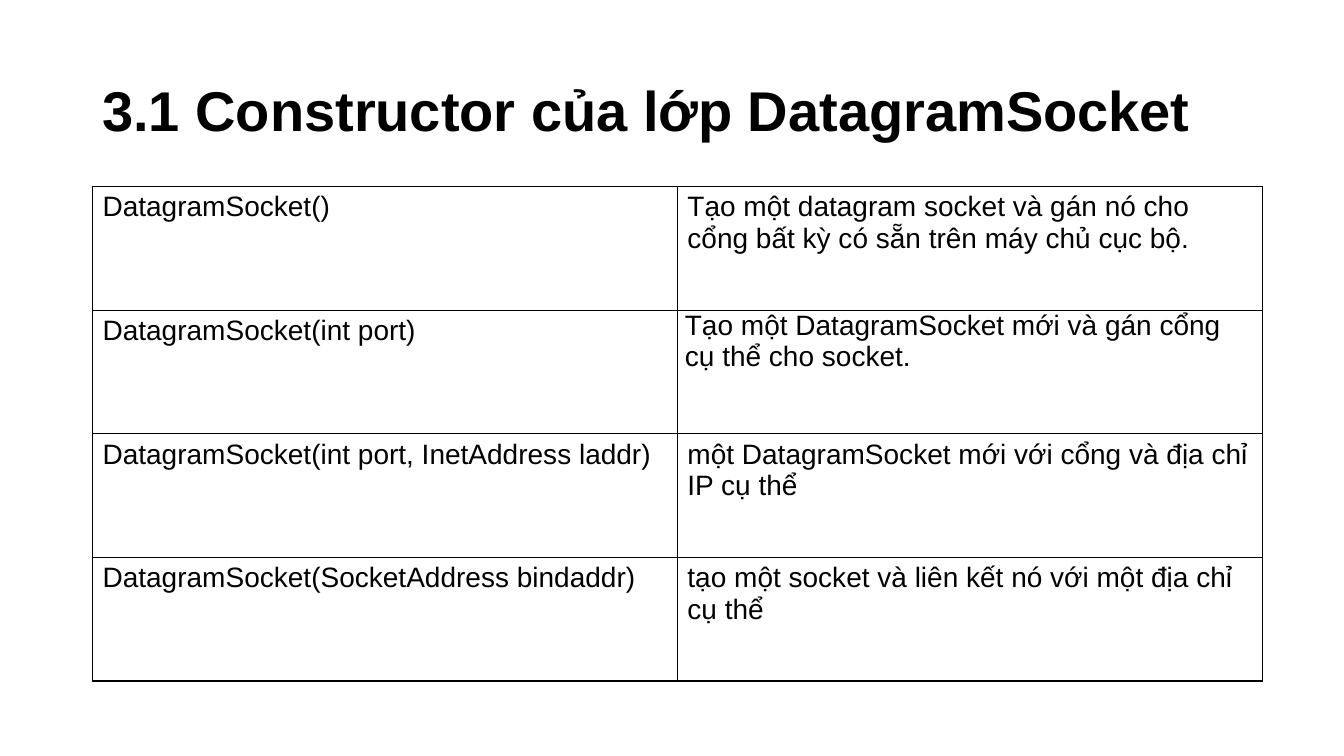
from pptx import Presentation
from pptx.dml.color import RGBColor
from pptx.enum.text import MSO_ANCHOR
from pptx.oxml import parse_xml
from pptx.oxml.ns import nsdecls
from pptx.util import Cm, Pt

BLACK = RGBColor(0x00, 0x00, 0x00)
FONT = "Arial"

CONSTRUCTORS = [
    ("DatagramSocket()",
     "Tạo một datagram socket và gán nó cho cổng bất kỳ có sẵn trên máy chủ cục bộ."),
    ("DatagramSocket(int port)",
     "Tạo một DatagramSocket mới và gán cổng cụ thể cho socket."),
    ("DatagramSocket(int port, InetAddress laddr)",
     "một DatagramSocket mới với cổng và địa chỉ IP cụ thể"),
    ("DatagramSocket(SocketAddress bindaddr)",
     "tạo một socket và liên kết nó với một địa chỉ cụ thể"),
]
LEFT = Cm(2.33)
TABLE_WIDTH, TABLE_HEIGHT = Cm(29.48), Cm(12.46)


def set_font(p, size, bold=False):
    for r in p.runs:
        r.font.name = FONT
        r.font.size = Pt(size)
        r.font.bold = bold
        r.font.color.rgb = BLACK


def add_borders(cell):
    tc_pr = cell._tc.get_or_add_tcPr()
    for i, side in enumerate(("lnL", "lnR", "lnT", "lnB")):
        tc_pr.insert(i, parse_xml(
            f'<a:{side} {nsdecls("a")} w="{Pt(1)}"><a:solidFill>'
            f'<a:srgbClr val="{BLACK}"/></a:solidFill></a:{side}>'))


prs = Presentation()
prs.slide_width, prs.slide_height = Cm(33.87), Cm(19.05)
s = prs.slides.add_slide(prs.slide_layouts[6])

# Title
sp = s.shapes.add_textbox(LEFT, Cm(1.01), Cm(29.21), Cm(3.68))
tf = sp.text_frame
tf.word_wrap = True
tf.vertical_anchor = MSO_ANCHOR.MIDDLE
tf.text = "3.1 Constructor của lớp DatagramSocket"
p = tf.paragraphs[0]
p.line_spacing = 0.9
set_font(p, 40, bold=True)

# Constructor table, split into equal rows and columns
sp = s.shapes.add_table(len(CONSTRUCTORS), 2, LEFT, Cm(4.7), TABLE_WIDTH, TABLE_HEIGHT)
table = sp.table
table.first_row = False
table.horz_banding = False
for row, texts in zip(table.rows, CONSTRUCTORS):
    for cell, text in zip(row.cells, texts):
        cell.text_frame.text = text
        set_font(cell.text_frame.paragraphs[0], 20)
        cell.fill.background()
        add_borders(cell)

# Tighter margins for the port description
cell = table.cell(1, 1)
cell.margin_left = cell.margin_right = Cm(0.19)
cell.margin_top = cell.margin_bottom = 0

prs.save("out.pptx")
